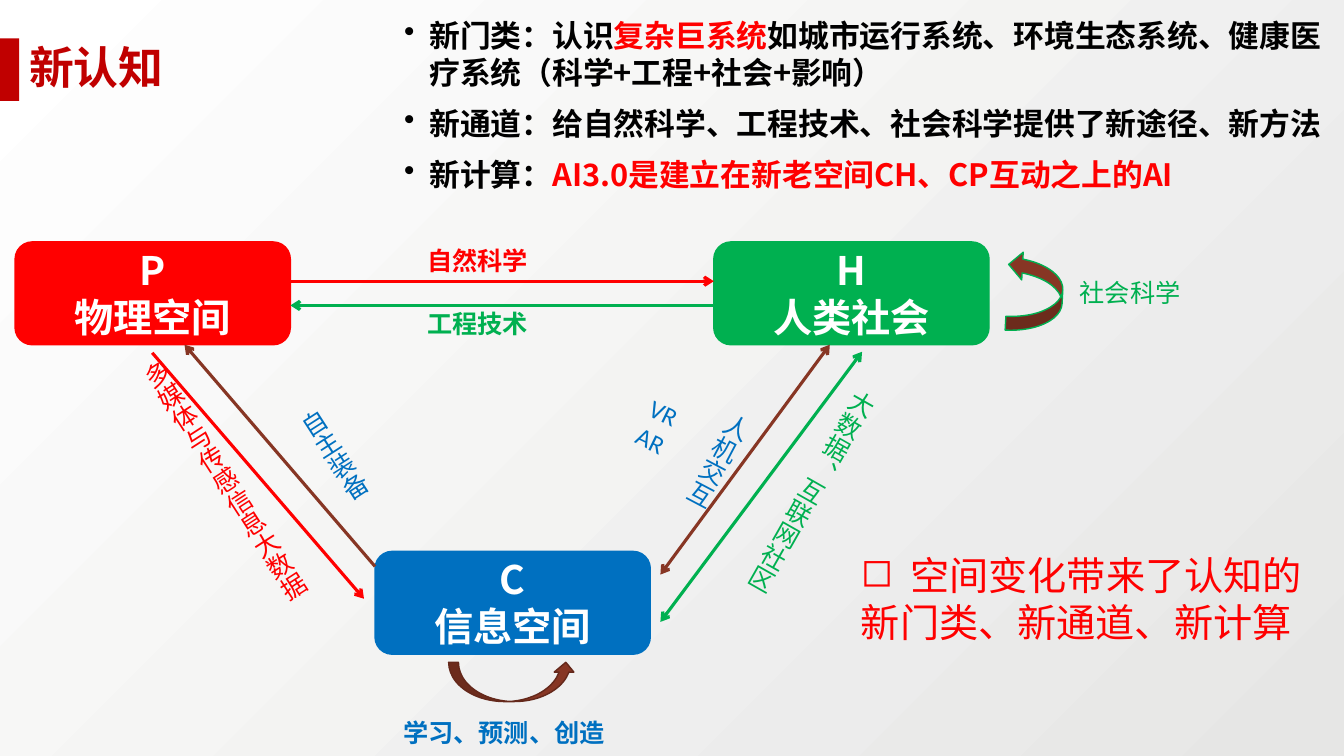
from dataclasses import dataclass

import lxml.etree
import pptx
import pptx.dml.color
import pptx.enum.dml
import pptx.enum.shapes
import pptx.enum.text
import pptx.oxml.ns
import pptx.util

Inches = pptx.util.Inches
Pt = pptx.util.Pt
qn = pptx.oxml.ns.qn
Shapes = pptx.enum.shapes.MSO_SHAPE
Anchor = pptx.enum.text.MSO_ANCHOR
Align = pptx.enum.text.PP_ALIGN

COLORS = {
    "red": "FF0000", "dark red": "C00000", "green": "00B050", "blue": "0070C0",
    "brown": "873624", "dark brown": "64281B", "black": "000000",
    "white": "FFFFFF", "grey": "E6E6E5",
}
SANS = "Noto Sans CJK SC"
Area = tuple[float, float, float, float]


@dataclass(frozen=True)
class Space:
    letter: str
    name: str
    left: float
    top: float
    color: str


@dataclass(frozen=True)
class Link:
    start: tuple[float, float]
    end: tuple[float, float]
    color: str
    both_ways: bool = False


@dataclass(frozen=True)
class Label:
    lines: tuple[str, ...]
    area: Area
    color: str
    bold: bool = False
    rotation: float = 0
    vertical: bool = False
    font: str = SANS


@dataclass(frozen=True)
class Loop:
    area: Area
    outline: str
    rotation: float = 0


SPACES = [
    Space("P", "物理空间", 0.15, 2.4, "red"),
    Space("C", "信息空间", 3.72, 5.47, "blue"),
    Space("H", "人类社会", 7.08, 2.4, "green"),
]
LINKS = [
    Link((2.88, 2.79), (7.08, 2.79), "red"),
    Link((7.08, 3.03), (2.88, 3.03), "green"),
    Link((3.72, 5.62), (1.83, 3.42), "brown"),
    Link((1.51, 3.5), (3.61, 5.94), "red"),
    Link((6.55, 5.7), (8.23, 3.42), "brown", True),
    Link((6.55, 6.17), (8.55, 3.49), "green", True),
]
LABELS = [
    Label(("自然科学",), (4.14, 2.38, 1.21, 0.4), "red", bold=True),
    Label(("工程技术",), (4.14, 3.01, 1.21, 0.4), "green", bold=True),
    Label(("多媒体与传感信息大数据",), (1.91, 3.34, 0.51, 2.88), "red", rotation=327.3, vertical=True),
    Label(("自主装备",), (2.99, 3.96, 0.51, 1.11), "blue", rotation=327.3, vertical=True),
    Label(("大数据、互联网社区",), (7.76, 3.63, 0.51, 2.37), "green", rotation=29.6, vertical=True),
    Label(("VR", "AR"), (6.28, 3.88, 0.48, 0.71), "blue", rotation=25.8, font="Calibri"),
    Label(("人机交互",), (6.84, 3.95, 0.51, 1.11), "blue", rotation=27.8, vertical=True),
    Label(("学习、预测、创造",), (3.9, 7.07, 2.22, 0.4), "blue", bold=True),
    Label(("社会科学",), (10.61, 2.7, 1.21, 0.4), "green"),
]
LOOPS = [
    Loop((4.45, 6.57, 1.26, 0.39), "dark brown"),
    Loop((9.87, 2.62, 0.79, 0.55), "green", 273.1),
]
POINTS = [
    [("新门类：认识", "black"), ("复杂巨系统", "red"),
     ("如城市运行系统、环境生态系统、健康医疗系统（科学+工程+社会+影响）", "black")],
    [("新通道：给自然科学、工程技术、社会科学提供了新途径、新方法", "black")],
    [("新计算：", "black"), ("AI3.0是建立在新老空间CH、CP互动之上的AI", "red")],
]


def rgb(color: str) -> pptx.dml.color.RGBColor:
    return pptx.dml.color.RGBColor.from_string(COLORS[color])


def add_span(para, text: str, size: float, color: str, bold: bool = False, font: str = SANS):
    span = para.add_run()
    span.text = text
    span.font.size = Pt(size)
    span.font.bold = bold
    span.font.color.rgb = rgb(color)
    span.font.name = font
    latin = span.font._element.find(qn("a:latin"))
    latin.addnext(latin.makeelement(qn("a:ea"), {"typeface": SANS}))
    return span


def next_para(frame, index: int):
    return frame.paragraphs[0] if index == 0 else frame.add_paragraph()


def add_bullet(para, mark: str, color: str, hang: float = 0, tab: float = 0) -> None:
    properties = para._p.get_or_add_pPr()
    properties.set("marL", str(Inches(hang)))
    properties.set("indent", str(-Inches(hang)))
    tint = lxml.etree.SubElement(properties, qn("a:buClr"))
    lxml.etree.SubElement(tint, qn("a:srgbClr"), val=COLORS[color])
    lxml.etree.SubElement(properties, qn("a:buChar"), char=mark)
    if tab:
        stops = lxml.etree.SubElement(properties, qn("a:tabLst"))
        lxml.etree.SubElement(stops, qn("a:tab"), pos=str(Inches(tab)), algn="l")


def add_box(page, area: Area, wrap: bool = True):
    box = page.shapes.add_textbox(*map(Inches, area))
    box.text_frame.word_wrap = wrap
    return box


def add_solid(page, kind, area: Area, fill: str, outline: str | None = None):
    shape = page.shapes.add_shape(kind, *map(Inches, area))
    shape.shadow.inherit = False
    shape.fill.solid()
    shape.fill.fore_color.rgb = rgb(fill)
    if outline:
        shape.line.color.rgb = rgb(outline)
        shape.line.width = Pt(1)
    else:
        shape.line.fill.background()
    return shape


def add_space(page, space: Space) -> None:
    area = (space.left, space.top, 2.73, 1.02)
    frame = add_solid(page, Shapes.ROUNDED_RECTANGLE, area, space.color, space.color).text_frame
    frame.vertical_anchor = Anchor.MIDDLE
    for index, text in enumerate((space.letter, space.name)):
        para = next_para(frame, index)
        para.alignment = Align.CENTER
        add_span(para, text, 28, "white", bold=True)


def add_link(page, link: Link) -> None:
    connector = page.shapes.add_connector(
        pptx.enum.shapes.MSO_CONNECTOR.STRAIGHT, *map(Inches, link.start + link.end))
    connector.line.color.rgb = rgb(link.color)
    connector.line.width = Pt(2.25)
    outline = connector.line._get_or_add_ln()
    for end in ("a:headEnd", "a:tailEnd") if link.both_ways else ("a:tailEnd",):
        lxml.etree.SubElement(outline, qn(end), type="arrow")
    lxml.etree.SubElement(connector._element.spPr, qn("a:effectLst"))


def add_label(page, label: Label) -> None:
    box = add_box(page, label.area, wrap=False)
    box.rotation = label.rotation
    frame = box.text_frame
    frame.auto_size = pptx.enum.text.MSO_AUTO_SIZE.SHAPE_TO_FIT_TEXT
    if label.vertical:
        frame._txBody.bodyPr.set("vert", "eaVert")
    for index, text in enumerate(label.lines):
        add_span(next_para(frame, index), text, 18, label.color, label.bold, label.font)


def add_title(page) -> None:
    add_solid(page, Shapes.RECTANGLE, (0, 0.38, 0.19, 0.62), "dark red")
    frame = add_box(page, (0.19, 0.38, 12, 0.62)).text_frame
    frame.vertical_anchor = Anchor.MIDDLE
    para = frame.paragraphs[0]
    para.line_spacing = 0.9
    span = add_span(para, "新认知", 32, "dark red", bold=True, font="DejaVu Sans Mono")
    latin = span.font._element.find(qn("a:latin"))
    effects = latin.makeelement(qn("a:effectLst"))
    latin.addprevious(effects)
    shadow = lxml.etree.SubElement(effects, qn("a:outerShdw"), blurRad=str(Pt(3)),
                                   dist=str(Pt(3)), dir="2700000", algn="tl")
    tint = lxml.etree.SubElement(shadow, qn("a:srgbClr"), val=COLORS["black"])
    lxml.etree.SubElement(tint, qn("a:alpha"), val="43000")


def add_points(page) -> None:
    frame = add_box(page, (3.91, 0.12, 9.42, 4.76)).text_frame
    for index, spans in enumerate(POINTS):
        para = next_para(frame, index)
        add_bullet(para, "•", "black", hang=0.25)
        if index:
            para.space_before = Pt(10)
        for text, color in spans:
            add_span(para, text, 22, color, bold=True)


def add_conclusion(page) -> None:
    para = add_box(page, (8.44, 5.42, 4.89, 1.04)).text_frame.paragraphs[0]
    add_bullet(para, "◻", "red", tab=0.49)
    add_span(para, "\t空间变化带来了认知的新门类、新通道、新计算", 28, "red")


def main() -> None:
    deck = pptx.Presentation()
    deck.slide_width, deck.slide_height = Inches(13.33), Inches(7.5)
    page = deck.slides.add_slide(deck.slide_layouts[6])
    backdrop = page.background.fill
    backdrop.gradient()
    backdrop.gradient_angle = 135
    for stop, color in zip(backdrop.gradient_stops, ("grey", "white")):
        stop.color.rgb = rgb(color)

    add_conclusion(page)
    for space in SPACES:
        add_space(page, space)
    for link in LINKS:
        add_link(page, link)
    for label in LABELS:
        add_label(page, label)
    for loop in LOOPS:
        add_solid(page, Shapes.CURVED_UP_ARROW, loop.area, "brown", loop.outline).rotation = loop.rotation
    add_title(page)
    add_points(page)
    deck.save("out.pptx")


if __name__ == "__main__":
    main()
